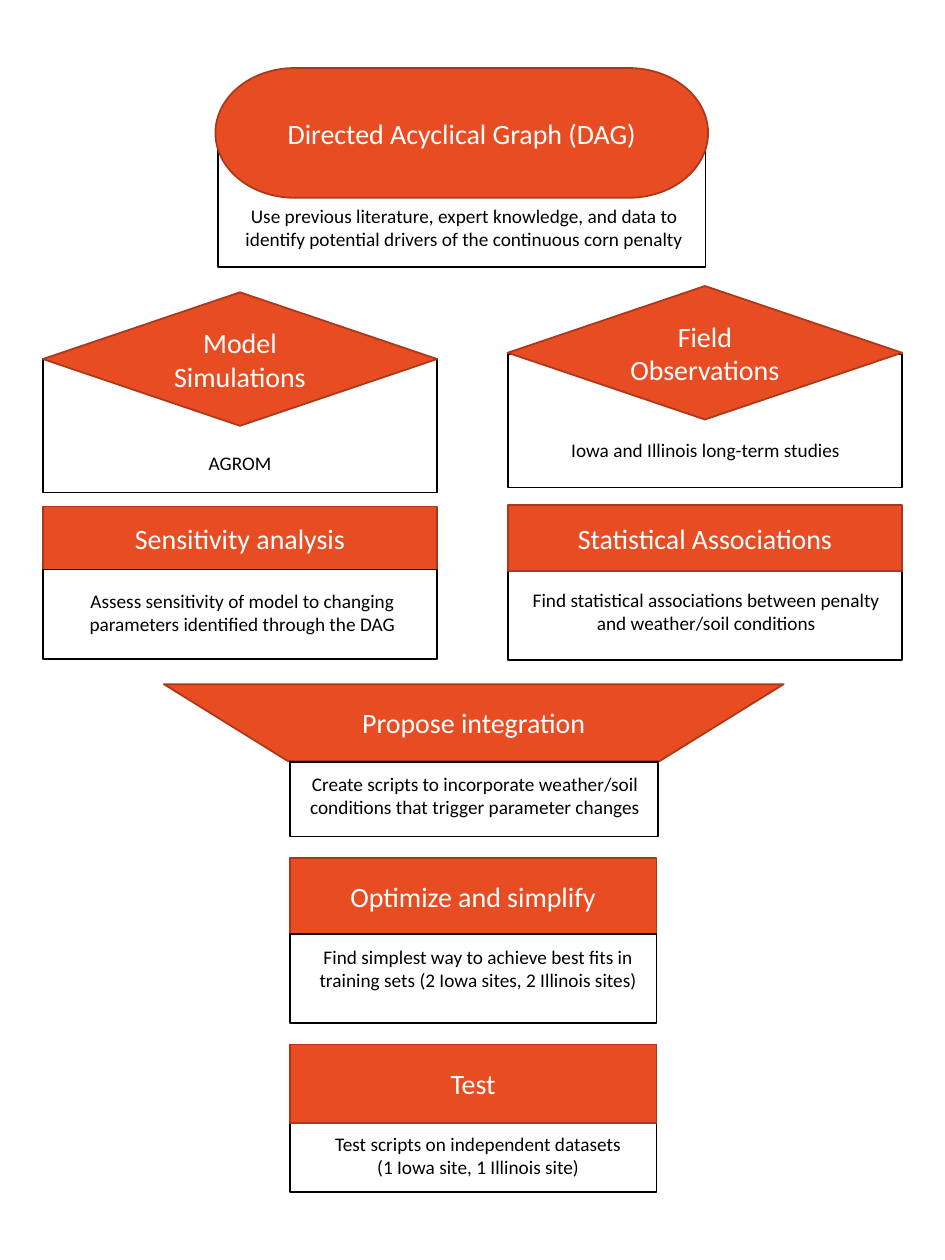
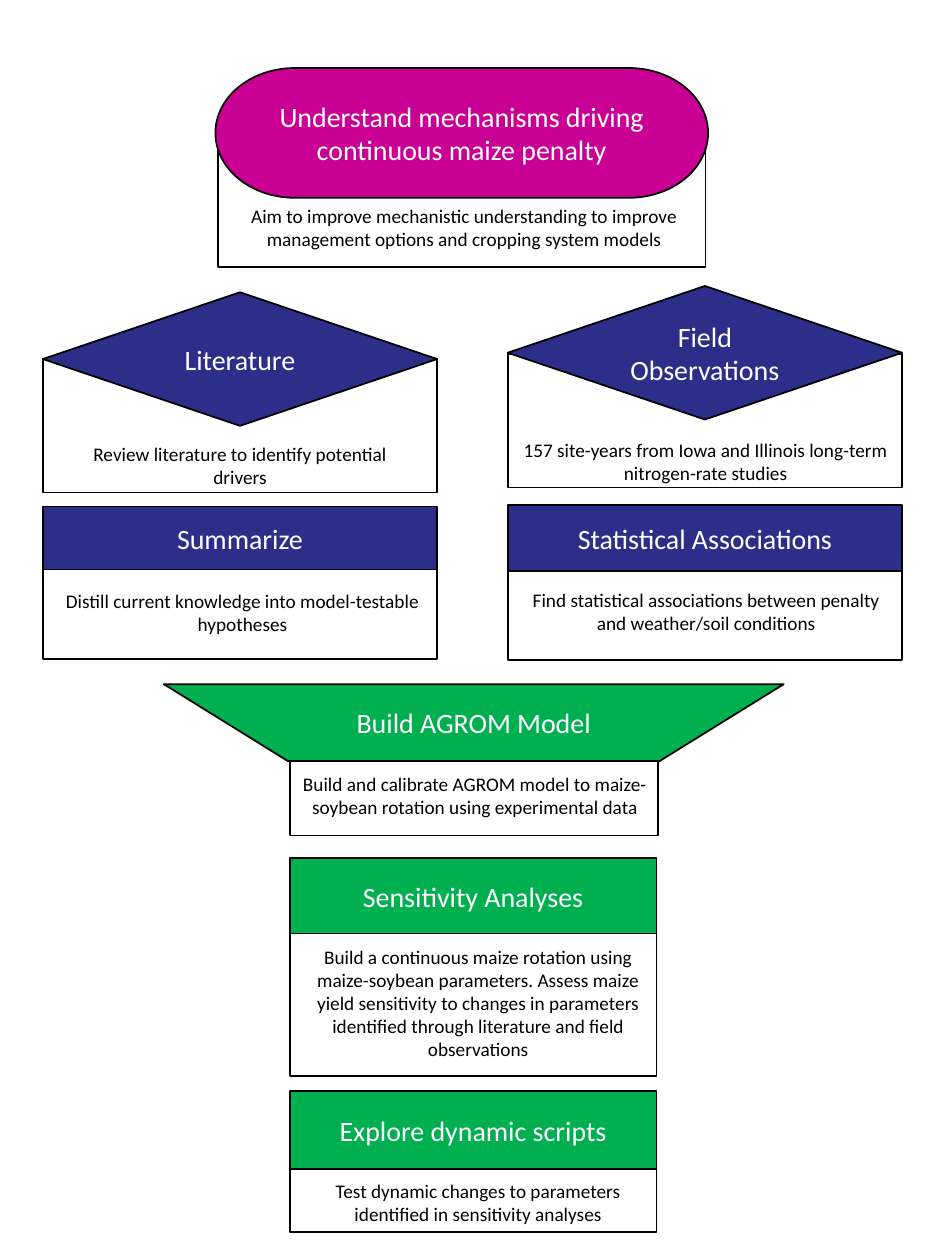
"""Build two flowcharts of the research plan on a 75 by 100 grid."""
from pptx import Presentation
from pptx.dml.color import RGBColor
from pptx.enum.shapes import MSO_SHAPE
from pptx.enum.text import MSO_ANCHOR, MSO_AUTO_SIZE, PP_ALIGN
from pptx.util import Inches, Pt

RECT = MSO_SHAPE.RECTANGLE
PROCESS = MSO_SHAPE.FLOWCHART_PROCESS
TERMINATOR = MSO_SHAPE.FLOWCHART_TERMINATOR
DECISION = MSO_SHAPE.FLOWCHART_DECISION
FUNNEL = MSO_SHAPE.FLOWCHART_MANUAL_OPERATION
MIDDLE = MSO_ANCHOR.MIDDLE
CENTER = PP_ALIGN.CENTER
GROW = MSO_AUTO_SIZE.SHAPE_TO_FIT_TEXT

FONT = "Calibri"
COLORS = {
    "orange": "E84C22", "rust": "AC3819", "magenta": "CA0095",
    "navy": "2D2D8A", "green": "00B050", "black": "000000", "white": "FFFFFF",
}

deck = Presentation()
deck.slide_width, deck.slide_height = Inches(7.5), Inches(10)
COL, ROW = deck.slide_width / 75, deck.slide_height / 100
LEFT, RIGHT, MID = 3.4, 40.3, 23
BRANCH_W, MID_W = 31.3, 29.1


def add_box(slide, kind, area, line, fill=None):
    """Add an outlined shape, hollow unless a fill is named."""
    x, y, w, h = area
    box = slide.shapes.add_shape(kind, round(x * COL), round(y * ROW), round(w * COL), round(h * ROW))
    box.shadow.inherit = False
    box.line.color.rgb = RGBColor.from_string(COLORS[line])
    box.line.width = Pt(1)
    if fill:
        box.fill.solid()
        box.fill.fore_color.rgb = RGBColor.from_string(COLORS[fill])
    else:
        box.fill.background()
    return box


def write(frame, lines, size, color):
    """Fill a text frame with centred paragraphs, one run each."""
    frame.word_wrap = True
    for number, line in enumerate(lines):
        paragraph = frame.add_paragraph() if number else frame.paragraphs[0]
        paragraph.alignment = CENTER
        run = paragraph.add_run()
        run.text = line
        run.font.name = FONT
        run.font.size = Pt(size)
        run.font.color.rgb = RGBColor.from_string(COLORS[color])


# Each step: heading shape and area, frame shape and area, caption left, top and width.
steps = {
    "start": (TERMINATOR, (17.1, 5.4, 39.1, 10.3), PROCESS, (17.3, 10.6, 38.7, 10.6), (17.5, 15.7, 38.7)),
    "left source": (DECISION, (LEFT, 23.2, BRANCH_W, 10.6), PROCESS, (LEFT, 28.5, BRANCH_W, 10.6), (4.2, 35.3, 29.7)),
    "right source": (DECISION, (RIGHT, 22.7, BRANCH_W, 10.6), PROCESS, (RIGHT, 28.1, BRANCH_W, 10.6), (40.4, 34.3, 31.2)),
    "left analysis": (PROCESS, (LEFT, 40.2, BRANCH_W, 5), RECT, (LEFT, 45.2, BRANCH_W, 7.1), (3.6, 46.3, BRANCH_W)),
    "right analysis": (PROCESS, (RIGHT, 40.1, BRANCH_W, 5.2), PROCESS, (RIGHT, 41.8, BRANCH_W, 10.6), (40.8, 46.2, 30.5)),
    "merge": (FUNNEL, (13, 54.3, 49.2, 6.1), RECT, (MID, 60.5, 29.2, 5.9), (22.5, 60.8, 30.4)),
    "refine": (PROCESS, (MID, 68.1, MID_W, 6), RECT, (MID, 74.1, MID_W, 7.1), (23.7, 74.5, 28.5)),
    "finish": (PROCESS, (MID, 82.9, MID_W, 6.2), RECT, (MID, 86.3, MID_W, 8.3), (24.4, 89.4, 27.1)),
}
longer_steps = steps | {
    "left source": (*steps["left source"][:4], (4.2, 34.6, 29.7)),
    "merge": (*steps["merge"][:3], (MID, 60.4, 29.2, 5.9), steps["merge"][4]),
    "refine": (*steps["refine"][:3], (MID, 74.1, MID_W, 11.3), steps["refine"][4]),
    "finish": (PROCESS, (MID, 86.6, MID_W, 6.2), RECT, (MID, 87.3, MID_W, 10.5), (24.4, 93.1, 27.1)),
}

CROP_MODEL = "AGROM"
ASSOCIATIONS = "Find statistical associations between penalty and weather/soil conditions"
dag_plan = [
    ("start", "orange", "Directed Acyclical Graph (DAG)", 6.6,
     ["Use previous literature, expert knowledge, and data to identify potential drivers of the continuous corn penalty"]),
    ("left source", "orange", "Model Simulations", 2.9, [CROP_MODEL]),
    ("right source", "orange", "Field Observations", 2.9, ["Iowa and Illinois long-term studies"]),
    ("left analysis", "orange", "Sensitivity analysis", 4.7,
     ["Assess sensitivity of model to changing parameters identified through the DAG"]),
    ("right analysis", "orange", "Statistical Associations", 4.7, [ASSOCIATIONS]),
    ("merge", "orange", "Propose integration", 6.6,
     ["Create scripts to incorporate weather/soil conditions that trigger parameter changes"]),
    ("refine", "orange", "Optimize and simplify", 6.7,
     ["Find simplest way to achieve best fits in training sets (2 Iowa sites, 2 Illinois sites)"]),
    ("finish", "orange", "Test", 4.7,
     ["Test scripts on independent datasets", "(1 Iowa site, 1 Illinois site)"]),
]
mechanism_plan = [
    ("start", "magenta", "Understand mechanisms driving continuous maize penalty", 4.7,
     ["Aim to improve mechanistic understanding to improve management options and cropping system models"]),
    ("left source", "navy", "Literature", 4.7, ["Review literature to identify potential drivers"]),
    ("right source", "navy", "Field Observations", 4.7,
     ["157 site-years from Iowa and Illinois long-term nitrogen-rate studies"]),
    ("left analysis", "navy", "Summarize", 4.7, ["Distill current knowledge into model-testable hypotheses"]),
    ("right analysis", "navy", "Statistical Associations", 4.7, [ASSOCIATIONS]),
    ("merge", "green", f"Build {CROP_MODEL} Model", 4.7,
     [f"Build and calibrate {CROP_MODEL} model to maize-soybean rotation using experimental data"]),
    ("refine", "green", "Sensitivity Analyses", 10.3,
     ["Build a continuous maize rotation using maize-soybean parameters. Assess maize yield sensitivity "
      "to changes in parameters identified through literature and field observations"]),
    ("finish", "green", "Explore dynamic scripts", 4.7,
     ["Test dynamic changes to parameters identified in sensitivity analyses"]),
]

for plan, layout, edge in ((dag_plan, steps, "rust"), (mechanism_plan, longer_steps, "black")):
    slide = deck.slides.add_slide(deck.slide_layouts[6])
    for step, fill, title, caption_height, caption_lines in plan:
        heading_kind, heading_area, frame_kind, frame_area, (x, y, w) = layout[step]
        frame_below = frame_area[1] >= round(heading_area[1] + heading_area[3], 1)
        if not frame_below:
            add_box(slide, frame_kind, frame_area, "black")
        heading = add_box(slide, heading_kind, heading_area, edge, fill)
        heading_text = heading.text_frame
        heading_text.vertical_anchor = MIDDLE
        heading_text.margin_left = heading_text.margin_right = Inches(0.13)
        heading_text.margin_top = heading_text.margin_bottom = Inches(0.07)
        write(heading_text, [title], 16, "white")
        if frame_below:
            add_box(slide, frame_kind, frame_area, "black")
        caption = slide.shapes.add_textbox(
            round(x * COL), round(y * ROW), round(w * COL), round(caption_height * ROW))
        write(caption.text_frame, caption_lines, 11, "black")
        caption.text_frame.auto_size = GROW

deck.save("out.pptx")
